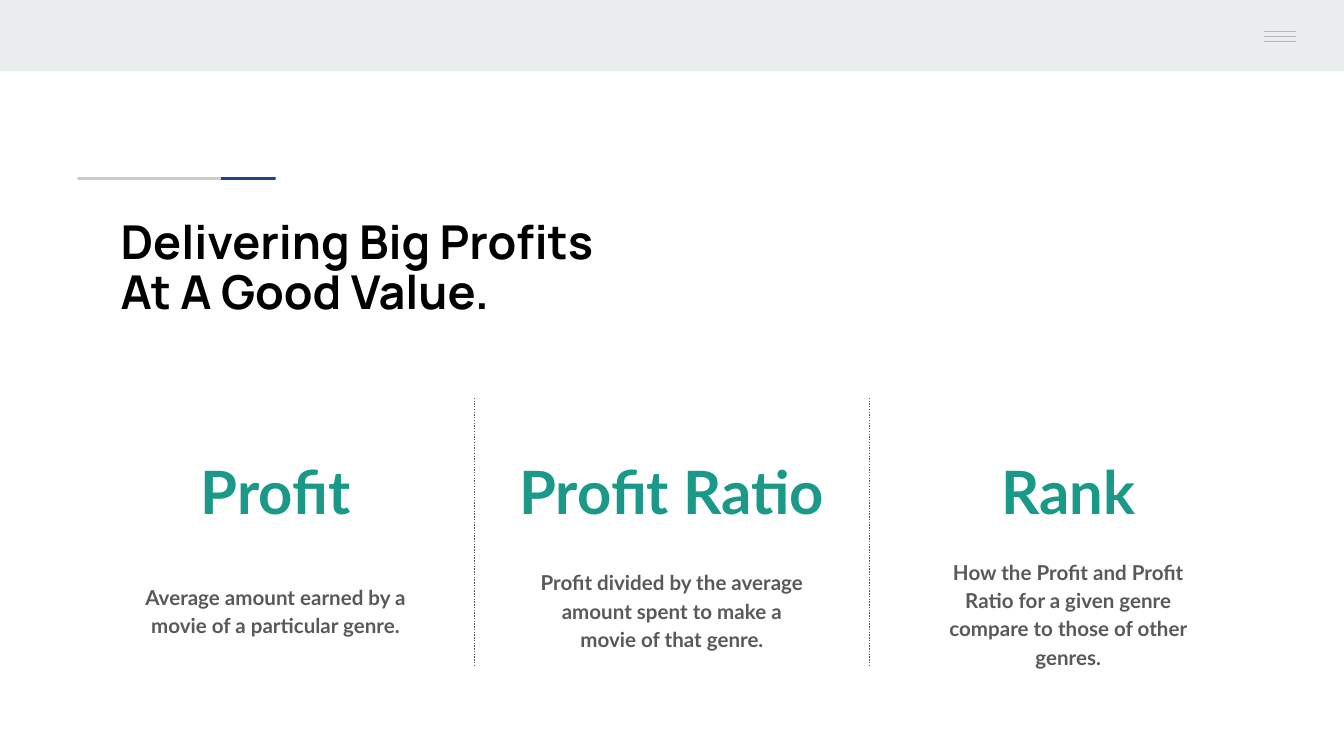
from dataclasses import dataclass

from lxml.etree import SubElement
from pptx import Presentation
from pptx.dml.color import RGBColor
from pptx.enum.dml import MSO_LINE
from pptx.enum.shapes import MSO_CONNECTOR, MSO_SHAPE
from pptx.enum.text import MSO_ANCHOR, MSO_AUTO_SIZE, PP_ALIGN
from pptx.oxml.ns import qn
from pptx.slide import Slide
from pptx.text.text import TextFrame
from pptx.util import Cm, Pt

HUES = {
    "band": "E9EDEE",
    "menu": "B7B7B7",
    "blue": "1C4587",
    "gray": "CCCCCC",
    "title": "000000",
    "teal": "1A9988",
    "text": "595959",
}


@dataclass
class Bar:
    left: float
    top: float
    width: float
    height: float
    hue: str


@dataclass
class Rule:
    start: tuple[float, float]
    end: tuple[float, float]
    hue: str
    dotted: bool = False


@dataclass
class Metric:
    name: str
    note: str
    top: float
    height: float


BARS = [
    Bar(0, 0, 25.4, 1.35, "band"),
    Bar(1.47, 3.35, 2.71, 0.05, "gray"),
    Bar(4.18, 3.35, 1.03, 0.05, "blue"),
]
METRICS = [
    Metric("Profit", "Average amount earned by a movie of a particular genre.", 10.74, 1.5),
    Metric(
        "Profit Ratio",
        "Profit divided by the average amount spent to make a movie of that genre.",
        10.46,
        2.06,
    ),
    Metric(
        "Rank",
        "How the Profit and Profit Ratio for a given genre compare to those of other genres.",
        10.26,
        2.46,
    ),
]
LEFT, PITCH = 2.01, 7.49


def color(hue: str) -> RGBColor:
    return RGBColor.from_string(HUES[hue])


def draw_bar(slide: Slide, bar: Bar) -> None:
    shape = slide.shapes.add_shape(
        MSO_SHAPE.RECTANGLE, Cm(bar.left), Cm(bar.top), Cm(bar.width), Cm(bar.height)
    )
    shape.shadow.inherit = False
    shape.fill.solid()
    shape.fill.fore_color.rgb = color(bar.hue)
    shape.line.fill.background()


def draw_rule(slide: Slide, rule: Rule) -> None:
    line = slide.shapes.add_connector(
        MSO_CONNECTOR.STRAIGHT, *map(Cm, rule.start), *map(Cm, rule.end)
    )
    line.line.color.rgb = color(rule.hue)
    line.line.width = Pt(0.75)
    if rule.dotted:
        line.line.dash_style = MSO_LINE.ROUND_DOT
    SubElement(line.element.spPr, qn("a:effectLst"))


def write(frame: TextFrame, text: str, face: str, size: int, hue: str,
          align: PP_ALIGN, space: float) -> None:
    frame.word_wrap = True
    frame.auto_size = MSO_AUTO_SIZE.NONE
    frame.margin_left = frame.margin_right = Cm(0.25)
    frame.margin_top = frame.margin_bottom = Cm(0.25)
    frame.text = text
    para = frame.paragraphs[0]
    para.alignment = align
    para.line_spacing = space
    font = para.font
    font.name, font.size, font.bold = face, Pt(size), True
    font.color.rgb = color(hue)


def draw_title(slide: Slide) -> None:
    title = slide.shapes.title
    title.left, title.top = Cm(2.03), Cm(3.66)
    title.width, title.height = Cm(9.53), Cm(2.87)
    frame = title.text_frame
    frame.vertical_anchor = MSO_ANCHOR.MIDDLE
    write(frame, "Delivering Big Profits At A Good Value.", "Manrope", 25,
          "title", PP_ALIGN.LEFT, 0.9)


def draw_metric(slide: Slide, metric: Metric, left: float) -> None:
    head = slide.shapes.add_textbox(Cm(left), Cm(8.15), Cm(6.4), Cm(2.64))
    write(head.text_frame, metric.name, "Lato", 32, "teal", PP_ALIGN.CENTER, 1.15)
    note = slide.shapes.add_textbox(
        Cm(left + 0.33), Cm(metric.top), Cm(5.74), Cm(metric.height)
    )
    write(note.text_frame, metric.note, "Lato", 11, "text", PP_ALIGN.CENTER, 1.15)


def main() -> None:
    deck = Presentation()
    deck.slide_width, deck.slide_height = Cm(25.4), Cm(14.29)
    slide = deck.slides.add_slide(deck.slide_layouts[5])
    for bar in BARS:
        draw_bar(slide, bar)
    for row in range(3):
        y = 0.6 + row * 0.09
        draw_rule(slide, Rule((23.88, y), (24.49, y), "menu"))
    draw_title(slide)
    for index, metric in enumerate(METRICS):
        draw_metric(slide, metric, LEFT + index * PITCH)
    for x in (8.97, 16.43):
        draw_rule(slide, Rule((x, 7.52), (x, 12.6), "text", dotted=True))
    deck.save("out.pptx")


if __name__ == "__main__":
    main()
